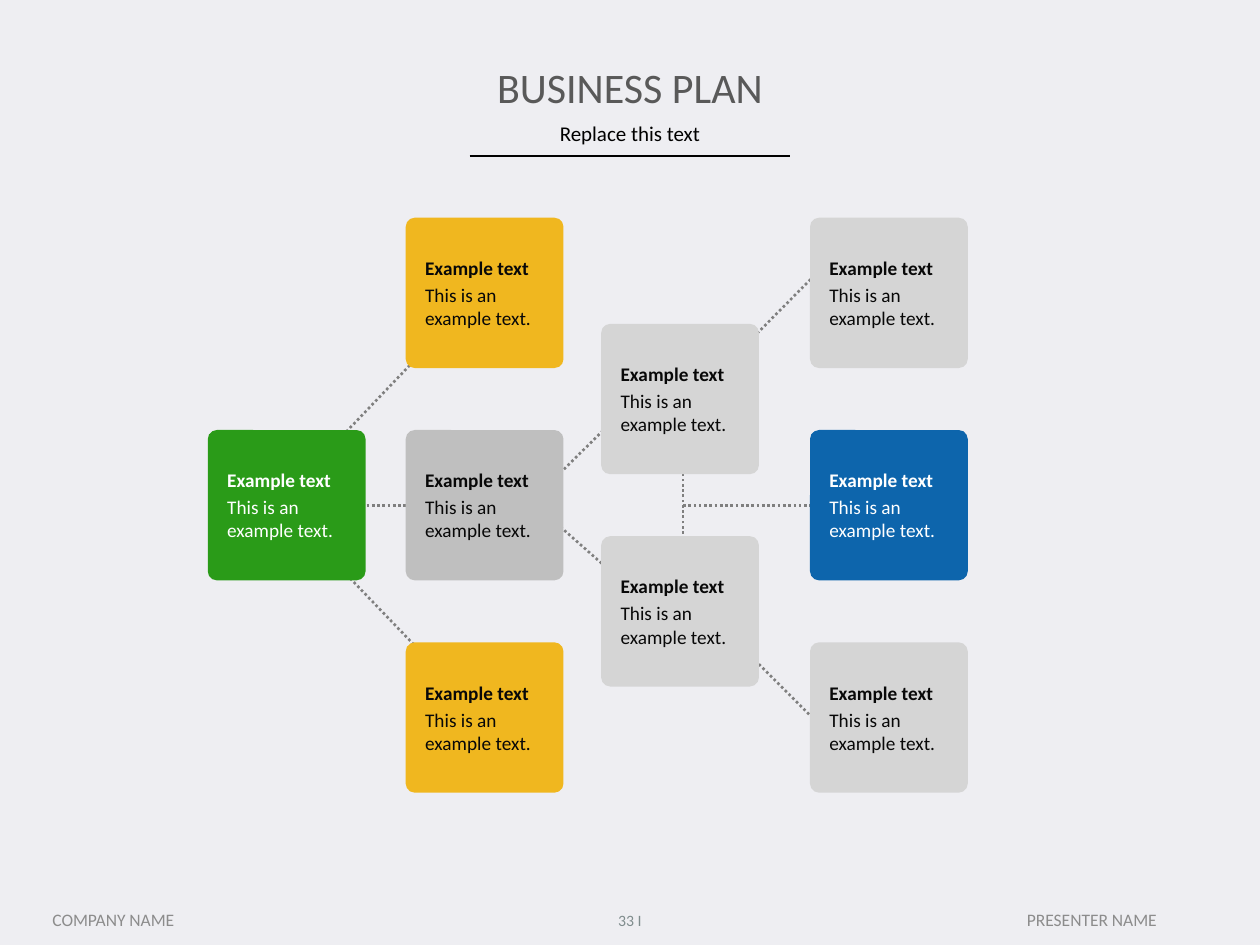
import pptx
import pptx.util
import pptx.dml.color
import pptx.enum.dml
import pptx.enum.shapes
import pptx.enum.text
import pptx.oxml.ns
from lxml import etree

Cm, Pt = pptx.util.Cm, pptx.util.Pt
ALIGN = pptx.enum.text.PP_ALIGN
ANCHOR = pptx.enum.text.MSO_ANCHOR

COLORS = {
    "background": "EEEEF2", "title": "595959", "black": "000000",
    "page": "7F8C8D", "footer": "8C8C8C", "link": "7F7F7F",
    "dark": "080808", "white": "FFFFFF", "green": "2A9B18",
    "yellow": "F0B71F", "blue": "0D65AC", "grey": "BFBFBF", "light": "D5D5D5",
}
FONT = "Calibri"

# Diagram grid, relative to its box (cm)
COLUMNS = [0, 3.99, 7.93, 12.14]
ROW_STEP = 2.14
CARD_W, CARD_H = 3.18, 3.03
TEXT_W, TEXT_H, TEXT_INDENT = 2.82, 1.75, 0.14

# Column, row, fill, text colour
CARDS = [
    (2, 1, "light", "dark"), (2, 3, "light", "dark"),
    (1, 0, "yellow", "dark"), (3, 0, "light", "dark"),
    (0, 2, "green", "white"), (1, 2, "grey", "dark"), (3, 2, "blue", "white"),
    (1, 4, "yellow", "dark"), (3, 4, "light", "dark"),
]

# Start and end of each link, tucked behind the cards
LINKS = [
    ((9.58, 3.84), (12.27, 1.12)), ((12.27, 10.16), (9.58, 7.47)),
    ((9.58, 7.75), (9.58, 3.79)), ((1.4, 5.77), (4.6, 2.42)),
    ((1.4, 5.74), (4.6, 9.07)), ((6.5, 5.74), (9.22, 3.05)),
    ((6.55, 5.74), (9.55, 8.39)), ((9.58, 5.8), (13.54, 5.8)),
    ((1.4, 5.8), (5.36, 5.8)),
]


def rgb(name):
    return pptx.dml.color.RGBColor.from_string(COLORS[name])


def style_paragraph(paragraph, size, color, bold=False, align=ALIGN.LEFT):
    paragraph.alignment = align
    for run in paragraph.runs:
        run.font.name = FONT
        run.font.size = Pt(size)
        run.font.bold = bold
        run.font.color.rgb = rgb(color)


def add_text(shapes, box, text, size, color, anchor=ANCHOR.MIDDLE, align=ALIGN.CENTER):
    frame = shapes.add_textbox(*map(Cm, box)).text_frame
    frame.word_wrap = True
    frame.vertical_anchor = anchor
    frame.text = text
    for paragraph in frame.paragraphs:
        style_paragraph(paragraph, size, color, align=align)
    return frame


def add_line(shapes, start, end, color, width, dash=None):
    line = shapes.add_connector(
        pptx.enum.shapes.MSO_CONNECTOR.STRAIGHT, *map(Cm, (*start, *end)))
    line.line.color.rgb = rgb(color)
    line.line.width = Pt(width)
    if dash is not None:
        line.line.dash_style = dash
    etree.SubElement(line._element.spPr, pptx.oxml.ns.qn("a:effectLst"))


def add_header(slide, box):
    left, top, width, _ = box
    # Title
    title = slide.shapes.title
    title.left, title.top, title.width, title.height = map(Cm, (left, top, width, 1.27))
    frame = title.text_frame
    frame.text = "BUSINESS PLAN"
    frame.vertical_anchor = ANCHOR.MIDDLE
    frame.auto_size = pptx.enum.text.MSO_AUTO_SIZE.NONE
    style_paragraph(frame.paragraphs[0], 24, "title", align=ALIGN.CENTER)
    # Subtitle
    subtitle = add_text(slide.shapes, (left, top + 1.29, width, 0.69),
                        "Replace this text", 12, "black", ANCHOR.TOP)
    subtitle.paragraphs[0].line_spacing = 0.8
    subtitle.paragraphs[0].space_before = Pt(2.4)
    # Rule
    center, rule_y, half = left + width / 2, top + 2.03, 3.23
    add_line(slide.shapes, (center - half, rule_y), (center + half, rule_y), "black", 1)


def add_card(slide, box, fill, text_color):
    left, top, width, height = box
    group = slide.shapes.add_group_shape()
    card = group.shapes.add_shape(
        pptx.enum.shapes.MSO_SHAPE.ROUNDED_RECTANGLE, *map(Cm, box))
    card.adjustments[0] = 0.06
    card.shadow.inherit = False
    card.fill.solid()
    card.fill.fore_color.rgb = rgb(fill)
    card.line.fill.background()
    text_box = (left + TEXT_INDENT, top + (height - TEXT_H) / 2, TEXT_W, TEXT_H)
    frame = add_text(group.shapes, text_box, "Example text\nThis is an example text.",
                     11, text_color, align=ALIGN.LEFT)
    for paragraph in frame.paragraphs:
        paragraph.space_before = Pt(2.2)
    frame.paragraphs[0].runs[0].font.bold = True


def add_diagram(slide, box):
    left, top = box[:2]
    # Links lie behind the cards
    for start, end in LINKS:
        add_line(slide.shapes, (left + start[0], top + start[1]),
                 (left + end[0], top + end[1]), "link", 1.5,
                 pptx.enum.dml.MSO_LINE.ROUND_DOT)
    # Cards
    for column, row, fill, text_color in CARDS:
        card_box = (left + COLUMNS[column], top + row * ROW_STEP, CARD_W, CARD_H)
        add_card(slide, card_box, fill, text_color)


def add_footer(slide, box):
    left, top, width, height = box
    company_w, page_w, presenter_w = 3.71, 1.27, 5.92
    add_text(slide.shapes, (left, top, company_w, height), "COMPANY NAME", 10, "footer")
    add_text(slide.shapes, (left + (width - page_w) / 2, top, page_w, height),
             "33 I", 9, "page")
    add_text(slide.shapes, (left + width - presenter_w, top, presenter_w, height),
             "PRESENTER NAME", 10, "footer")


def main():
    deck = pptx.Presentation()
    deck.slide_width, deck.slide_height = Cm(25.4), Cm(19.05)
    slide = deck.slides.add_slide(deck.slide_layouts[5])
    slide.background.fill.solid()
    slide.background.fill.fore_color.rgb = rgb("background")
    add_header(slide, (1.75, 1.12, 21.9, 2.03))
    add_diagram(slide, (4.19, 4.39, 15.32, 11.59))
    add_footer(slide, (0.43, 18.01, 24.54, 1.07))
    deck.save("out.pptx")


if __name__ == "__main__":
    main()
